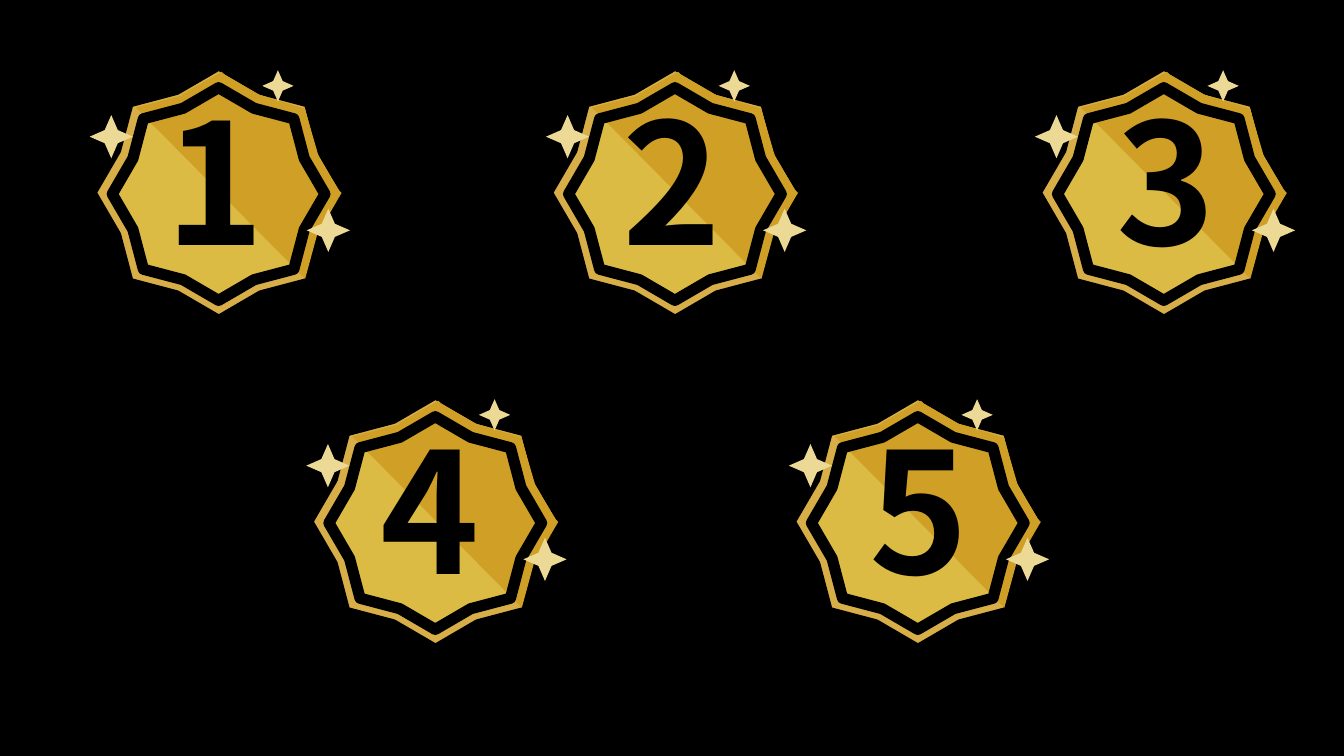
from pptx import Presentation
from pptx.dml.color import RGBColor
from pptx.enum.shapes import MSO_SHAPE as Preset
from pptx.enum.text import MSO_ANCHOR as Anchor, MSO_AUTO_SIZE as AutoSize, PP_ALIGN as Align
from pptx.util import Cm, Pt

BLACK = "000000"
RIM_GOLD = "D7AE48"
FACE_GOLD = "DCBB44"
SHADE_GOLD = "D09F26"
SPARKLE_CREAM = "EBD995"
DIGIT_FONT = "Noto Sans CJK KR"
STAR_DEPTH = 0.436
SPARKLE_DEPTH = 0.215

TOP_ROW, BOTTOM_ROW = 1.63, 9.92
BADGES = [
    ("1", 2.29, TOP_ROW, 0.91),
    ("2", 13.79, TOP_ROW, 0.91),
    ("3", 26.11, TOP_ROW, 1.04),
    ("4", 7.75, BOTTOM_ROW, 0.87),
    ("5", 19.91, BOTTOM_ROW, 1.02),
]
SHADES = [
    (Preset.TRAPEZOID, 0.81, 1.85, 6.07, 1.63, 45.3, 0.579),
    (Preset.TRAPEZOID, 1.96, 1.54, 4.9, 1.12, 45.3, 0.271),
    (Preset.ISOSCELES_TRIANGLE, 3.54, 0.98, 3.1, 0.84, 45.3, None),
    (Preset.ISOSCELES_TRIANGLE, 3.66, 1.73, 3.1, 0.76, 32.5, None),
    (Preset.ISOSCELES_TRIANGLE, 2.93, 0.91, 3.1, 0.76, 56.3, None),
]
SPARKLES = [(5.44, 3.63, 1.09), (-0.03, 1.27, 1.09), (4.32, 0.14, 0.79)]


def color(value):
    return RGBColor.from_string(value)


def add_preset(group, preset, left, top, width, height, fill=None,
               line_width=None, rotation=0, adjustment=None):
    shape = group.shapes.add_shape(preset, Cm(left), Cm(top), Cm(width), Cm(height))
    shape.shadow.inherit = False
    shape.rotation = rotation
    if adjustment is not None:
        shape.adjustments[0] = adjustment
    if fill:
        shape.fill.solid()
        shape.fill.fore_color.rgb = color(fill)
    else:
        shape.fill.background()
    if line_width:
        shape.line.color.rgb = color(BLACK)
        shape.line.width = Pt(line_width)
    else:
        shape.line.fill.background()


def add_star(group, left, top, size, fill, line_width):
    add_preset(group, Preset.STAR_8_POINT, left, top, size, size, fill,
               line_width, adjustment=STAR_DEPTH)


def add_digit(group, digit, left, top):
    box = group.shapes.add_textbox(Cm(left), Cm(top), Cm(4.45), Cm(5.38))
    frame = box.text_frame
    frame.word_wrap = True
    frame.auto_size = AutoSize.SHAPE_TO_FIT_TEXT
    frame.vertical_anchor = Anchor.MIDDLE
    frame.margin_bottom = Cm(0.5)
    paragraph = frame.paragraphs[0]
    paragraph.alignment = Align.CENTER
    run = paragraph.add_run()
    run.text = digit
    run.font.name = DIGIT_FONT
    run.font.size = Pt(120)
    run.font.bold = True
    run.font.color.rgb = color(BLACK)


def add_badge(slide, digit, left, top, digit_offset):
    group = slide.shapes.add_group_shape()
    group.name = f"Badge {digit}"
    add_star(group, left, top, 6.45, RIM_GOLD, 8)
    add_star(group, left + 0.54, top + 0.55, 5.36, FACE_GOLD, 5.25)
    for preset, x, y, width, height, rotation, adjustment in SHADES:
        add_preset(group, preset, left + x, top + y, width, height, SHADE_GOLD,
                   rotation=rotation, adjustment=adjustment)
    add_star(group, left + 0.54, top + 0.58, 5.36, None, 8)
    for x, y, size in SPARKLES:
        add_preset(group, Preset.STAR_4_POINT, left + x, top + y, size, size,
                   SPARKLE_CREAM, adjustment=SPARKLE_DEPTH)
    add_digit(group, digit, left + digit_offset, top + 0.37)


def main():
    presentation = Presentation()
    presentation.slide_width = Cm(33.87)
    presentation.slide_height = Cm(19.05)
    slide = presentation.slides.add_slide(presentation.slide_layouts[6])
    slide.background.fill.solid()
    slide.background.fill.fore_color.rgb = color(BLACK)
    for badge in BADGES:
        add_badge(slide, *badge)
    presentation.save("out.pptx")


if __name__ == "__main__":
    main()
